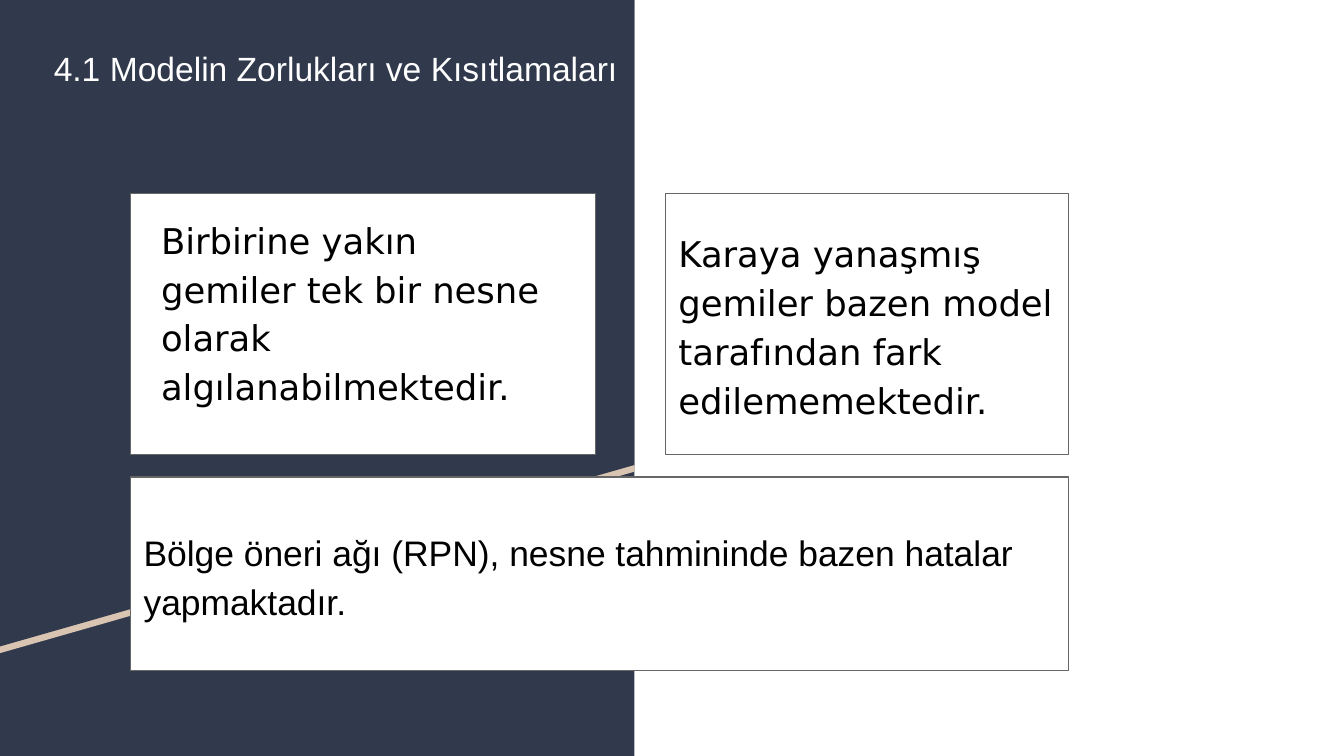
from pptx import Presentation
from pptx.dml.color import RGBColor
from pptx.enum.shapes import MSO_SHAPE as Shape
from pptx.enum.text import MSO_ANCHOR as Anchor, PP_ALIGN as Align
from pptx.util import Inches, Pt

COLORS = {"navy": "31394D", "sand": "D9C4B1", "white": "FFFFFF",
          "border": "666666", "text": "000000"}


def paint(shape, fill, border=None):
    shape.shadow.inherit = False
    shape.fill.solid()
    shape.fill.fore_color.rgb = RGBColor.from_string(COLORS[fill])
    if border:
        shape.line.color.rgb = RGBColor.from_string(COLORS[border])
        shape.line.width = Pt(0.75)
    else:
        shape.line.fill.background()


def write(shape, text, size=19, font="DejaVu Sans", color="text", anchor=Anchor.MIDDLE):
    frame = shape.text_frame
    frame.word_wrap = True
    frame.vertical_anchor = anchor
    frame.margin_left = frame.margin_right = Inches(0.1)
    frame.margin_top = frame.margin_bottom = Inches(0.1)
    frame.text = text
    paragraph = frame.paragraphs[0]
    paragraph.alignment = Align.LEFT
    paragraph.line_spacing = 1.15
    paragraph.space_before = Pt(0)
    paragraph.font.size = Pt(size)
    paragraph.font.name = font
    paragraph.font.color.rgb = RGBColor.from_string(COLORS[color])


# Widescreen 16:9 slide
deck = Presentation()
deck.slide_width, deck.slide_height = Inches(10), Inches(10 * 9 / 16)
slide = deck.slides.add_slide(deck.slide_layouts[5])
shapes = slide.shapes

# Navy left panel with a slanted sand stripe
panel_width = 4.72
panel = shapes.add_shape(Shape.RECTANGLE, 0, 0, Inches(panel_width), deck.slide_height)
paint(panel, "navy")
for color, drop in (("sand", 0.05), ("navy", 0)):
    corners = [(0, drop), (panel_width, drop),
               (panel_width, 3.46 + drop), (0, 4.81 + drop)]
    points = [(Inches(x), Inches(y)) for x, y in corners]
    builder = shapes.build_freeform(*points[0])
    builder.add_line_segments(points[1:], close=True)
    paint(builder.convert_to_shape(), color)

# Title, brought in front of the panel
title = shapes.title
shapes.element.append(title.element)
title.left, title.top = Inches(0.3), Inches(0.21)
title.width, title.height = Inches(6.84), Inches(0.73)
write(title, "4.1 Modelin Zorlukları ve Kısıtlamaları",
      size=18, font="Arial", color="white", anchor=Anchor.TOP)

# White cards: close ships, docked ships, region proposals
cards = []
for left, top, width, height in ((0.97, 1.44, 3.46, 1.94),
                                 (4.95, 1.44, 3, 1.94),
                                 (0.97, 3.55, 6.98, 1.44)):
    card = shapes.add_shape(Shape.RECTANGLE, Inches(left), Inches(top),
                            Inches(width), Inches(height))
    paint(card, "white", border="border")
    cards.append(card)
close_ships, docked_ships, region_proposals = cards

# Card texts
close_ships_text = shapes.add_textbox(Inches(1.1), Inches(1.48), Inches(3.15), Inches(1.79))
write(close_ships_text, "Birbirine yakın gemiler tek bir nesne olarak algılanabilmektedir.",
      anchor=Anchor.TOP)
write(docked_ships, "Karaya yanaşmış gemiler bazen model tarafından fark edilememektedir.")
write(region_proposals, "Bölge öneri ağı (RPN), nesne tahmininde bazen hatalar yapmaktadır.",
      font="Arial")

deck.save("out.pptx")
